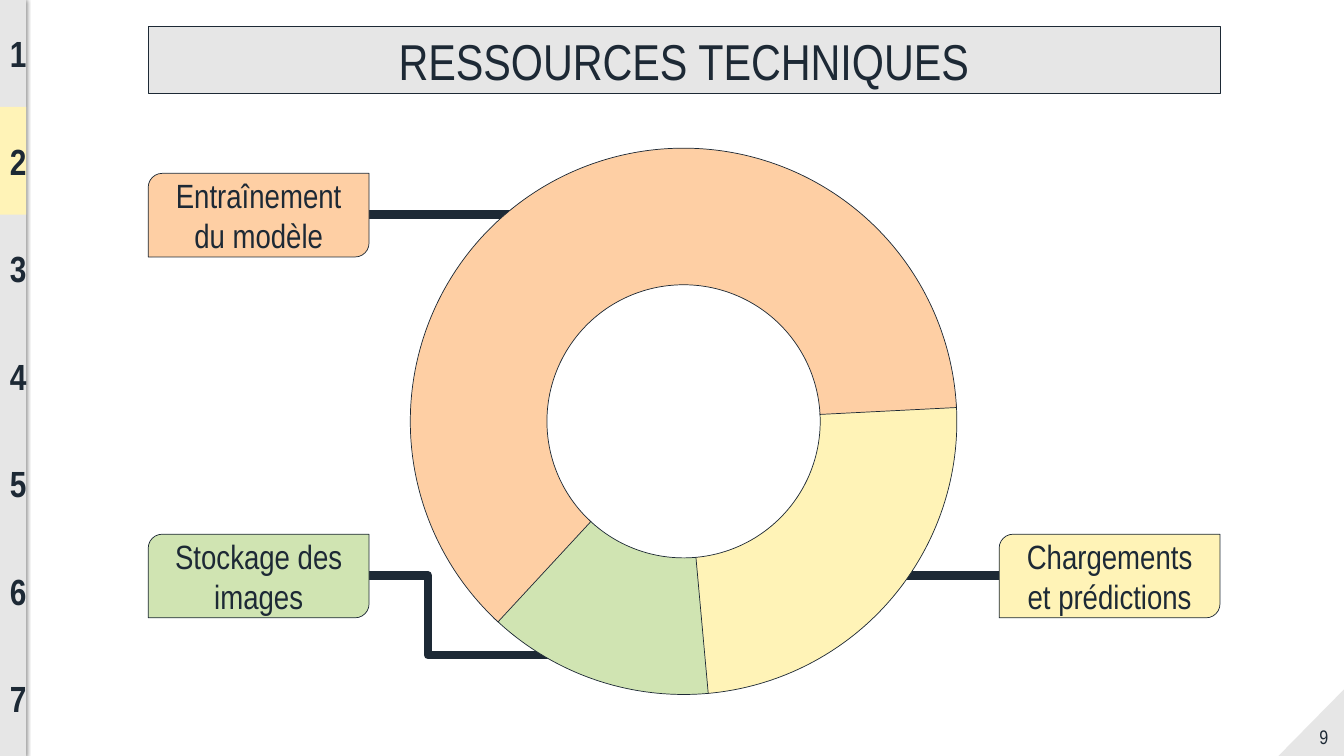
"""Build the technical resources slide with its ring of three shares."""
from dataclasses import dataclass

from lxml.etree import SubElement
from pptx import Presentation
from pptx.dml.color import RGBColor
from pptx.enum.shapes import MSO_CONNECTOR as Link, MSO_SHAPE as Kind
from pptx.enum.text import MSO_ANCHOR as Anchor, MSO_AUTO_SIZE as Fit, PP_ALIGN as Align
from pptx.oxml.ns import qn
from pptx.shapes.autoshape import Shape
from pptx.shapes.shapetree import SlideShapes
from pptx.util import Inches, Pt


@dataclass(frozen=True)
class Theme:
    font: str = "Arial Narrow"
    ink: str = "1D2935"
    grey: str = "E6E6E6"
    peach: str = "FECFA4"
    yellow: str = "FFF3B7"
    green: str = "D0E4B2"
    title_size: float = 36
    number_size: float = 26
    label_size: float = 24
    page_size: float = 14
    outline: float = 0.5
    leader: float = 6


@dataclass(frozen=True)
class Box:
    left: float
    top: float
    width: float
    height: float

    def lengths(self) -> tuple:
        return tuple(map(Inches, (self.left, self.top, self.width, self.height)))


@dataclass(frozen=True)
class Leader:
    kind: Link
    start: tuple[float, float]
    end: tuple[float, float]


@dataclass(frozen=True)
class Share:
    text: str
    color: str
    label_left: float
    label_top: float
    start_angle: float
    end_angle: float


THEME = Theme()
TITLE = Box(1.47, 0.26, 10.63, 0.67)
RING = Box(4.07, 1.47, 5.42, 5.42)
RAIL = Box(0, 0, 0.26, 7.5)
ACTIVE_BAND = Box(0, 1.06, 0.26, 1.07)
CORNER = Box(12.67, 6.84, 0.66, 0.67)
PAGE = Box(12.93, 7.11, 0.4, 0.4)
LABEL_WIDTH, LABEL_HEIGHT = 2.19, 0.83
CHAPTERS = 7
FIRST_CHAPTER_TOP, LAST_CHAPTER_TOP = 0.26, 6.66

LEADERS = (
    Leader(Link.STRAIGHT, (8.08, 5.71), (10.33, 5.71)),
    Leader(Link.STRAIGHT, (3.35, 2.13), (5.61, 2.13)),
    Leader(Link.ELBOW, (6.04, 6.5), (2.45, 5.71)),
)
SHARES = (
    Share("Chargements et prédictions", THEME.yellow, 9.91, 5.3, 356.46, 85.1),
    Share("Stockage des images", THEME.green, 1.47, 5.3, 84.82, 134),
    Share("Entraînement du modèle", THEME.peach, 1.47, 1.72, 132.77, 357.1),
)


def paint(shape: Shape, fill: str, outlined: bool = False) -> None:
    """Give a shape its flat fill and optional thin outline."""
    shape.shadow.inherit = False
    shape.fill.solid()
    shape.fill.fore_color.rgb = RGBColor.from_string(fill)
    if outlined:
        shape.line.color.rgb = RGBColor.from_string(THEME.ink)
        shape.line.width = Pt(THEME.outline)
    else:
        shape.line.fill.background()


def write(shape: Shape, text: str, size: float, bold: bool = False,
          anchor: Anchor = Anchor.MIDDLE, fit: Fit = Fit.NONE) -> None:
    """Write one centred paragraph into a shape."""
    frame = shape.text_frame
    frame.text = text
    paragraph = frame.paragraphs[0]
    formats = {
        frame: {"word_wrap": True, "vertical_anchor": anchor, "auto_size": fit},
        paragraph: {"alignment": Align.CENTER},
        paragraph.runs[0].font: {"name": THEME.font, "size": Pt(size), "bold": bold},
    }
    for target, values in formats.items():
        for name, value in values.items():
            setattr(target, name, value)
    paragraph.runs[0].font.color.rgb = RGBColor.from_string(THEME.ink)


def add_block(shapes: SlideShapes, kind: Kind, box: Box, fill: str,
              outlined: bool = False) -> Shape:
    """Add a painted preset shape."""
    block = shapes.add_shape(kind, *box.lengths())
    paint(block, fill, outlined)
    return block


def format_title(title: Shape) -> None:
    """Turn the title placeholder into the heading banner."""
    title.left, title.top, title.width, title.height = TITLE.lengths()
    geometry = SubElement(title.element.spPr, qn("a:prstGeom"), prst="round2DiagRect")
    SubElement(geometry, qn("a:avLst"))
    paint(title, THEME.grey, outlined=True)
    write(title, "RESSOURCES TECHNIQUES", THEME.title_size)


def add_leader(shapes: SlideShapes, leader: Leader) -> None:
    """Draw the thick line between a label and the ring."""
    line = shapes.add_connector(leader.kind, *map(Inches, leader.start + leader.end))
    line.line.color.rgb = RGBColor.from_string(THEME.ink)
    line.line.width = Pt(THEME.leader)
    SubElement(line.element.spPr, qn("a:effectLst"))


def add_rail(shapes: SlideShapes) -> None:
    """Draw the chapter rail, its active band and the chapter numbers."""
    rail = add_block(shapes, Kind.RECTANGLE, RAIL, THEME.grey)
    effects = rail.element.spPr.find(qn("a:effectLst"))
    shadow = SubElement(effects, qn("a:outerShdw"), blurRad=str(Pt(3)), dist="0", dir="0")
    tint = SubElement(shadow, qn("a:srgbClr"), val="000000")
    SubElement(tint, qn("a:alpha"), val="50000")
    add_block(shapes, Kind.RECTANGLE, ACTIVE_BAND, THEME.yellow)
    step = (LAST_CHAPTER_TOP - FIRST_CHAPTER_TOP) / (CHAPTERS - 1)
    for index in range(CHAPTERS):
        place = Box(0, FIRST_CHAPTER_TOP + index * step, 0.25, 0.54)
        number = shapes.add_textbox(*place.lengths())
        write(number, str(index + 1), THEME.number_size, True, Anchor.TOP,
              Fit.SHAPE_TO_FIT_TEXT)


def add_share(shapes: SlideShapes, share: Share) -> None:
    """Draw one ring segment and its label."""
    segment = add_block(shapes, Kind.BLOCK_ARC, RING, share.color, outlined=True)
    segment.rotation = share.end_angle
    sweep_start = (share.start_angle - share.end_angle) % 360
    for index, value in enumerate((sweep_start * 0.6, 0, 0.25)):
        segment.adjustments[index] = value
    place = Box(share.label_left, share.label_top, LABEL_WIDTH, LABEL_HEIGHT)
    label = add_block(shapes, Kind.ROUND_2_DIAG_RECTANGLE, place, share.color, outlined=True)
    write(label, share.text, THEME.label_size)


def add_page_corner(shapes: SlideShapes) -> None:
    """Draw the corner triangle with the page number."""
    corner = add_block(shapes, Kind.RIGHT_TRIANGLE, CORNER, THEME.grey)
    corner.element.spPr.find(qn("a:xfrm")).set("flipH", "1")
    write(shapes.add_textbox(*PAGE.lengths()), "9", THEME.page_size)


def main() -> None:
    """Build and save the slide."""
    deck = Presentation()
    deck.slide_width, deck.slide_height = Inches(13.33), Inches(7.5)
    shapes = deck.slides.add_slide(deck.slide_layouts[5]).shapes
    format_title(shapes.title)
    for leader in LEADERS:
        add_leader(shapes, leader)
    add_rail(shapes)
    for share in SHARES:
        add_share(shapes, share)
    add_page_corner(shapes)
    deck.save("out.pptx")


if __name__ == "__main__":
    main()
